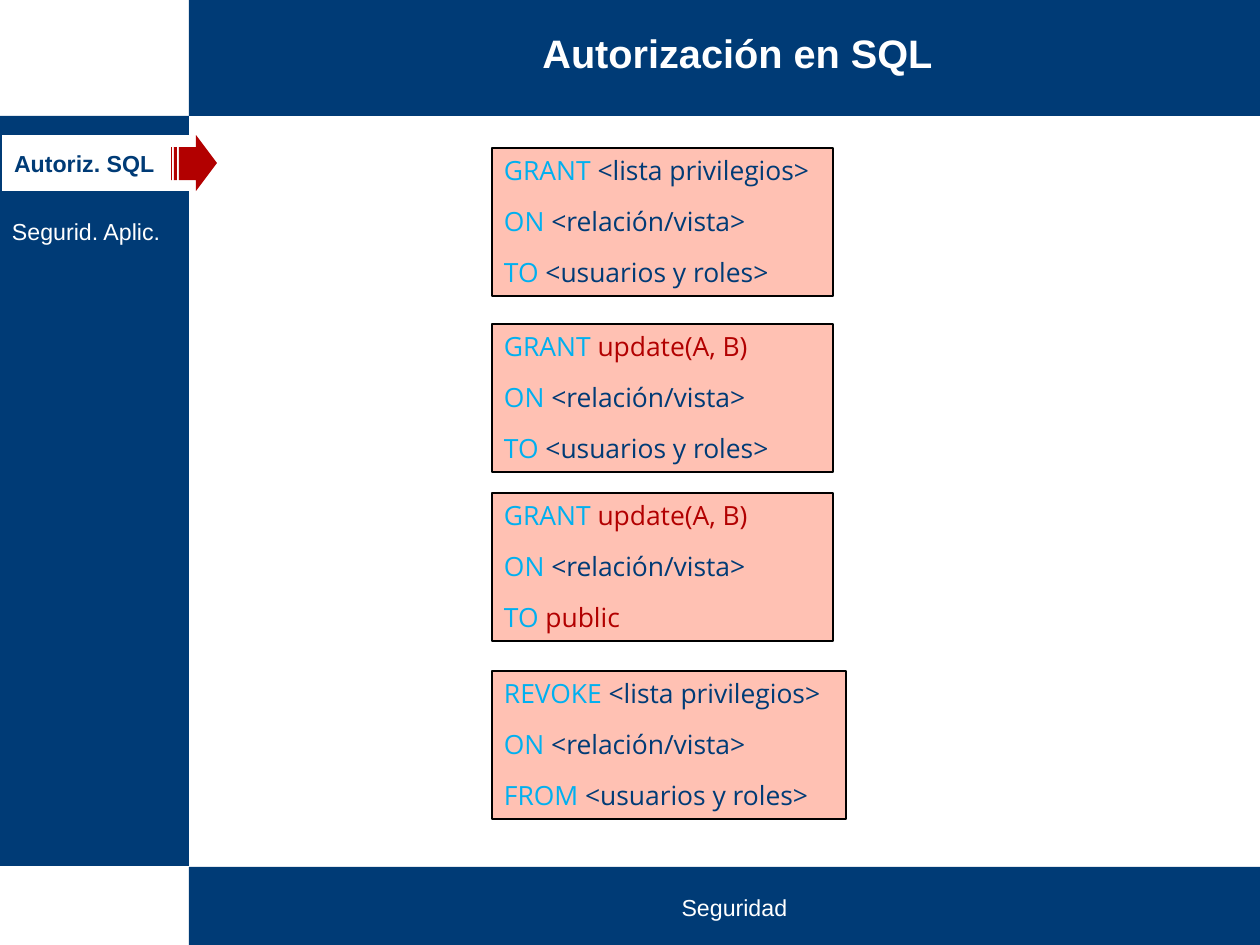
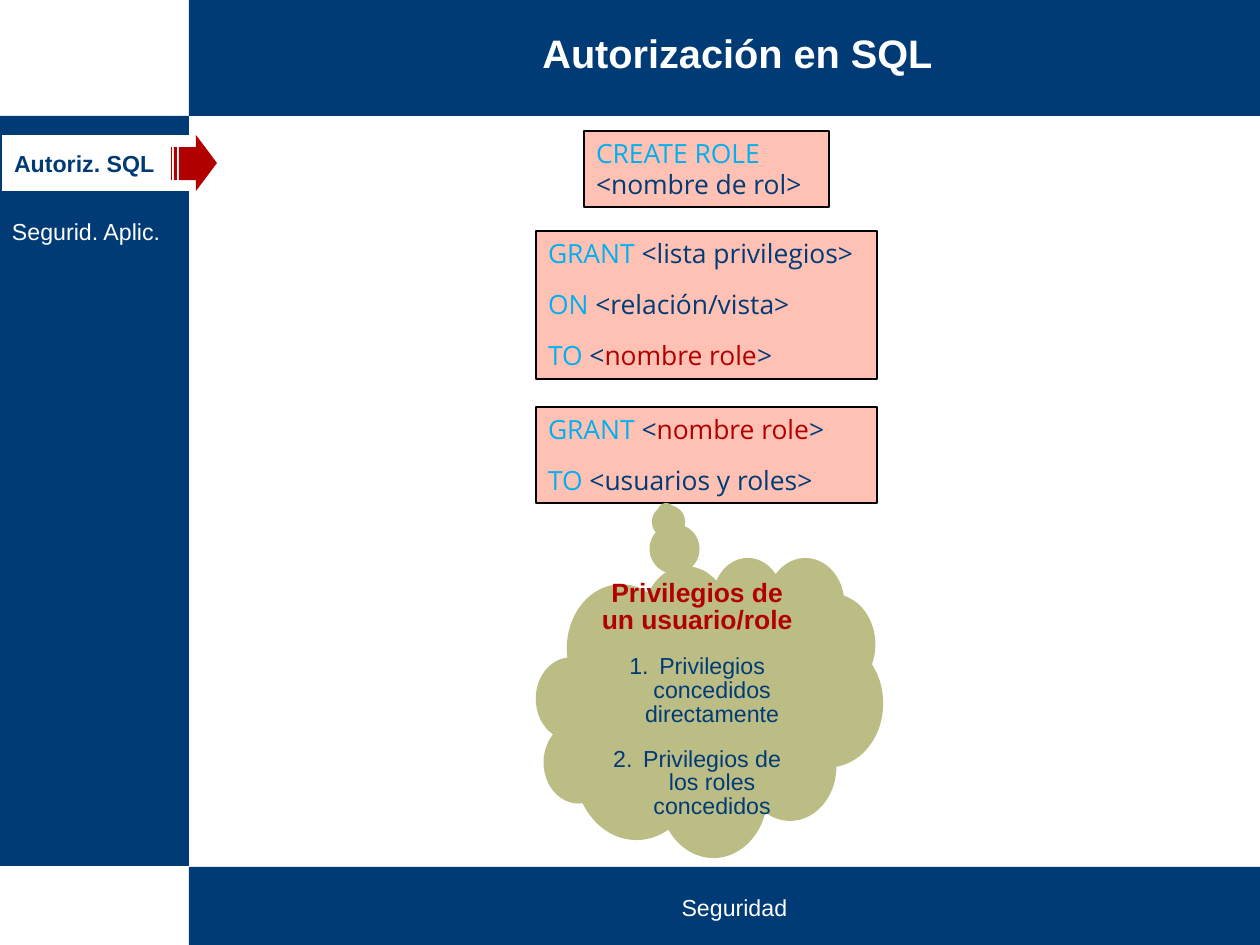
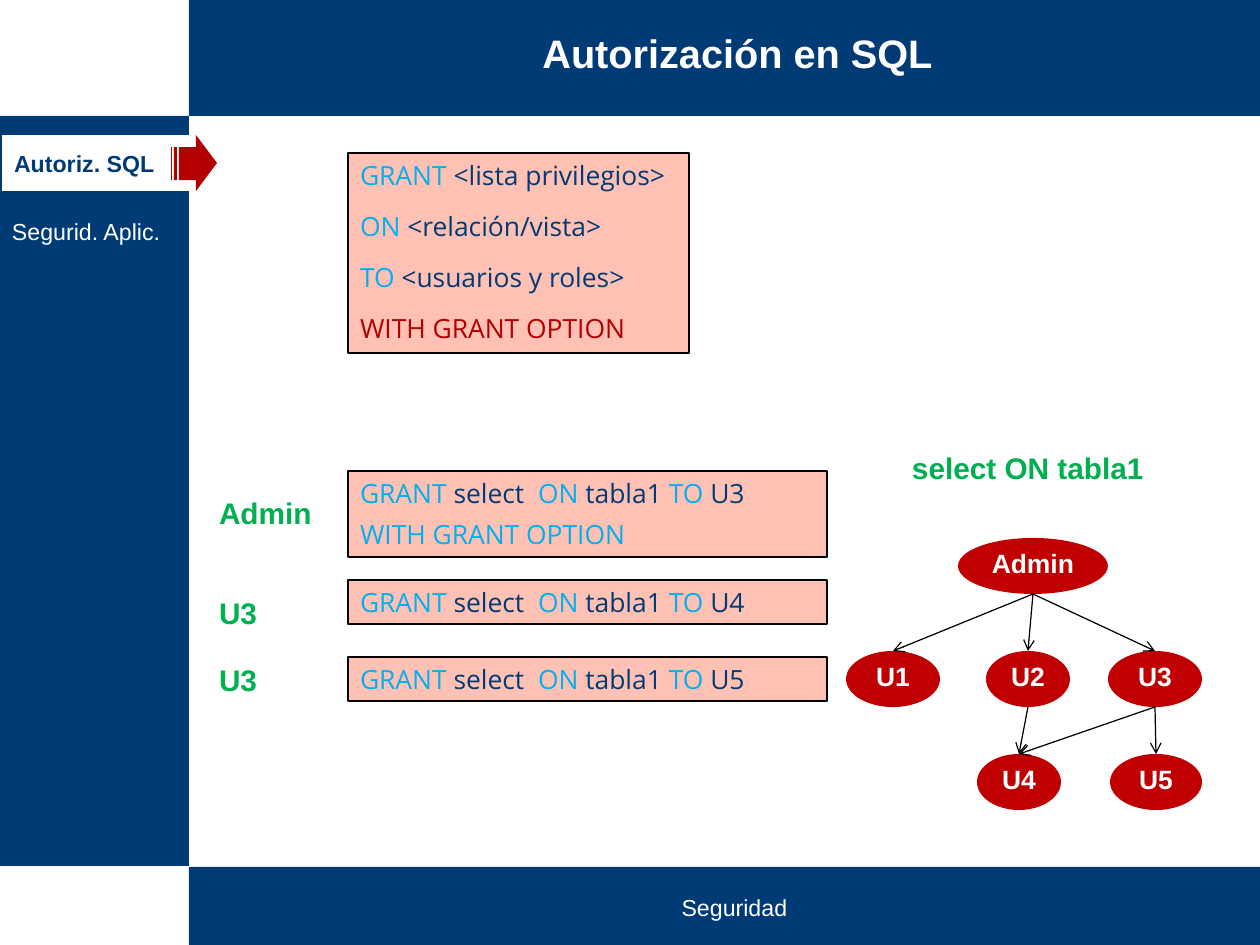
from dataclasses import dataclass

from lxml.etree import SubElement
from pptx import Presentation
from pptx.dml.color import RGBColor
from pptx.enum.shapes import MSO_CONNECTOR, MSO_SHAPE
from pptx.enum.text import MSO_ANCHOR, MSO_AUTO_SIZE, PP_ALIGN
from pptx.oxml.ns import qn
from pptx.util import Pt

PX = 7680  # EMU per px
WIDTH, HEIGHT = 1260, 945


@dataclass(frozen=True)
class Theme:
    navy: str = "003B76"
    white: str = "FFFFFF"
    black: str = "000000"
    red: str = "B20000"
    node: str = "C00000"
    cyan: str = "00B0F0"
    green: str = "00B050"
    pink: str = "FFC1B3"
    olive: str = "BCBC85"
    font: str = "Arial"
    code_font: str = "Open Sans"
    title: int = 24
    label: int = 18
    body: int = 16
    small: int = 14
    code_line: int = 19
    tight: float = 0.85
    hairline: float = 0.75


THEME = Theme()

# Content: a clause is a list of (text, colour) spans
TITLE = "Autorización en SQL"
FOOTER = "Seguridad"
MENU_ACTIVE, MENU_OTHER = "Autoriz. SQL", "Segurid. Aplic."


def clause(keyword, rest, color=THEME.navy):
    return [(keyword + " ", THEME.cyan), (rest, color)]


def role_clause(keyword):
    return clause(keyword, "<") + [("nombre role", THEME.red), (">", THEME.navy)]


def grant_select(user):
    return (clause("GRANT", "select  ") + clause("ON", "tabla1 ")
            + clause("TO", user))


GRANT_LIST = clause("GRANT", "<lista privilegios>")
GRANT_UPDATE = clause("GRANT", "update(A, B)", THEME.red)
ON_RELATION = clause("ON", "<relación/vista>")
TO_USERS = clause("TO", "<usuarios y roles>")
GRANT_OPTION = "WITH GRANT OPTION"

# Code boxes: (left, top, width, height), clauses
PRIVILEGE_BOXES = [
    ((492, 148, 341, 148), [GRANT_LIST, ON_RELATION, TO_USERS]),
    ((492, 324, 341, 148), [GRANT_UPDATE, ON_RELATION, TO_USERS]),
    ((492, 493, 341, 148),
     [GRANT_UPDATE, ON_RELATION, clause("TO", "public", THEME.red)]),
    ((492, 671, 354, 148),
     [clause("REVOKE", "<lista privilegios>"), ON_RELATION,
      clause("FROM", "<usuarios y roles>")]),
]
ROLE_BOXES = [
    ((584, 131, 245, 76),
     [[("CREATE ROLE", THEME.cyan), ("\n", THEME.cyan),
       ("<nombre de rol>", THEME.navy)]]),
    ((536, 231, 341, 148), [GRANT_LIST, ON_RELATION, role_clause("TO")]),
    ((536, 407, 341, 96), [role_clause("GRANT"), TO_USERS]),
]
CLOUD_AREA = (536, 557, 347, 300)
CLOUD_HEADING = "Privilegios de un usuario/role"
CLOUD_ITEMS = ["Privilegios concedidos directamente",
               "Privilegios de los roles concedidos"]

OPTION_BOXES = [((348, 153, 341, 200),
                 [GRANT_LIST, ON_RELATION, TO_USERS,
                  [(GRANT_OPTION, THEME.red)]])]
EXAMPLE_BOXES = [
    ((348, 471, 479, 86),
     [grant_select("U3"), [(GRANT_OPTION, THEME.cyan)]]),
    ((348, 580, 479, 44), [grant_select("U4")]),
    ((348, 657, 479, 44), [grant_select("U5")]),
]
LABELS = [("select ON tabla1", (900, 449, 273, 43)),
          ("Admin", (207, 494, 121, 43)),
          ("U3", (207, 594, 121, 43)),
          ("U3", (207, 661, 121, 43))]

# Grant graph: name -> centre x, top, width
NODE_HEIGHT = 56
NODES = {"Admin": (1033, 538, 150), "U1": (893, 651, 94), "U2": (1028, 651, 84),
         "U3": (1155, 651, 94), "U4": (1019, 754, 84), "U5": (1156, 754, 92)}
GRANTS = [("Admin", "U1"), ("Admin", "U2"), ("Admin", "U3"),
          ("U2", "U4"), ("U3", "U4"), ("U3", "U5")]

# Menu pointer: arrow outline and the two stripes behind it
POINTER = [
    [(196, 135), (196, 147), (179, 147), (179, 180), (196, 180), (196, 191),
     (217, 163)],
    [(174, 147), (174, 180), (177, 180), (177, 147)],
    [(171, 147), (171, 180), (172, 180), (172, 147)],
]


def emu(lengths):
    return [length * PX for length in lengths]


def rgb(color):
    return RGBColor.from_string(color)


def write(box, paragraphs, *, size=THEME.small, color=THEME.white,
          font=THEME.font, bold=False, align=PP_ALIGN.LEFT,
          anchor=MSO_ANCHOR.TOP, line=None, before=0, inset=12):
    """Fill a box; each paragraph is a string or a list of (text, colour)."""
    frame = box.text_frame
    frame.word_wrap = True
    frame.auto_size = MSO_AUTO_SIZE.NONE
    frame.vertical_anchor = anchor
    frame.margin_left = frame.margin_right = inset * PX
    frame.margin_top = frame.margin_bottom = 6 * PX
    for index, spans in enumerate(paragraphs):
        para = frame.add_paragraph() if index else frame.paragraphs[0]
        para.alignment = align
        para.space_before = Pt(before)
        if line:
            para.line_spacing = line
        for text, tint in [(spans, color)] if isinstance(spans, str) else spans:
            if text == "\n":
                para.add_line_break()
                continue
            span = para.add_run()
            span.text = text
            span.font.name = font
            span.font.size = Pt(size)
            span.font.bold = bold
            span.font.color.rgb = rgb(tint)


def paint(shape, fill, line=None):
    shape.shadow.inherit = False
    shape.fill.solid()
    shape.fill.fore_color.rgb = rgb(fill)
    if line:
        shape.line.color.rgb = rgb(line)
        shape.line.width = Pt(THEME.hairline)
    else:
        shape.line.fill.background()
    return shape


def add_block(page, area, fill, line=None, kind=MSO_SHAPE.RECTANGLE):
    return paint(page.shapes.add_shape(kind, *emu(area)), fill, line)


def move_frame_to_layout(page):
    """Draw the bands and footer on a page, then hand them to its layout."""
    bands = [(189, 867, 1071, 78), (0, 116, 189, 750), (189, 0, 1071, 116)]
    parts = [add_block(page, area, THEME.navy) for area in bands]
    footer = page.shapes.add_textbox(*emu((208, 885, 1053, 42)))
    write(footer, [FOOTER], align=PP_ALIGN.CENTER, anchor=MSO_ANCHOR.BOTTOM,
          line=1.15)
    for part in parts + [footer]:
        page.slide_layout.shapes.element.append(part.element)


def add_page(deck):
    page = deck.slides.add_slide(deck.slide_layouts[5])
    title = page.shapes.title
    title.left, title.top, title.width, title.height = emu((207, 22, 1061, 68))
    write(title, [TITLE], size=THEME.title, bold=True, align=PP_ALIGN.CENTER,
          anchor=MSO_ANCHOR.MIDDLE, line=THEME.tight)
    add_menu(page)
    return page


def add_menu(page):
    active = add_block(page, (2, 135, 196, 56), THEME.white)
    write(active, [MENU_ACTIVE], color=THEME.navy, bold=True,
          anchor=MSO_ANCHOR.MIDDLE)
    other = add_block(page, (0, 192, 183, 78), THEME.navy, THEME.navy)
    write(other, [MENU_OTHER], anchor=MSO_ANCHOR.MIDDLE)
    builder = page.shapes.build_freeform(*POINTER[0][0], scale=PX)
    for index, outline in enumerate(POINTER):
        if index:
            builder.move_to(*outline[0])
        builder.add_line_segments(outline[1:], close=True)
    paint(builder.convert_to_shape(), THEME.red)


def add_code_boxes(page, boxes, before=12):
    for area, clauses in boxes:
        box = add_block(page, area, THEME.pink, THEME.black)
        write(box, clauses, size=THEME.body, font=THEME.code_font,
              before=before, line=Pt(THEME.code_line))


def add_cloud(page):
    cloud = add_block(page, CLOUD_AREA, THEME.olive,
                      kind=MSO_SHAPE.CLOUD_CALLOUT)
    cloud.adjustments[0], cloud.adjustments[1] = -0.125, -0.653
    write(cloud, [CLOUD_HEADING] + CLOUD_ITEMS, color=THEME.navy,
          align=PP_ALIGN.CENTER, anchor=MSO_ANCHOR.MIDDLE, line=THEME.tight,
          before=13)
    heading, *items = cloud.text_frame.paragraphs
    heading.space_before = Pt(0)
    font = heading.runs[0].font
    font.size, font.bold, font.color.rgb = Pt(THEME.body), True, rgb(THEME.red)
    for para in items:
        number_paragraph(para, 30 * PX)


def number_paragraph(para, indent):
    properties = para._p.get_or_add_pPr()
    properties.set("marL", str(indent))
    properties.set("indent", str(-indent))
    SubElement(properties, qn("a:buFont"), typeface="+mj-lt")
    SubElement(properties, qn("a:buAutoNum"), type="arabicPeriod")


def add_arrow(page, start, end):
    arrow = page.shapes.add_connector(MSO_CONNECTOR.STRAIGHT, *emu(start + end))
    arrow.line.color.rgb = rgb(THEME.black)
    arrow.line.width = Pt(THEME.hairline)
    SubElement(arrow.line._get_or_add_ln(), qn("a:tailEnd"), type="arrow")
    SubElement(arrow.element.spPr, qn("a:effectLst"))


def add_grant_graph(page):
    for name, (center, top, width) in NODES.items():
        area = (center - width // 2, top, width, NODE_HEIGHT)
        node = add_block(page, area, THEME.node, kind=MSO_SHAPE.OVAL)
        write(node, [name], size=THEME.body, bold=True, align=PP_ALIGN.CENTER,
              line=THEME.tight, inset=0)
    for giver, receiver in GRANTS:
        start_x, start_top, _ = NODES[giver]
        end_x, end_top, _ = NODES[receiver]
        add_arrow(page, (start_x, start_top + NODE_HEIGHT), (end_x, end_top))


def add_labels(page):
    for text, area in LABELS:
        label = page.shapes.add_textbox(*emu(area))
        write(label, [text], size=THEME.label, color=THEME.green, bold=True,
              line=THEME.tight)


def main():
    deck = Presentation()
    deck.slide_width, deck.slide_height = emu((WIDTH, HEIGHT))

    privileges = add_page(deck)
    move_frame_to_layout(privileges)
    add_code_boxes(privileges, PRIVILEGE_BOXES)

    roles = add_page(deck)
    add_code_boxes(roles, ROLE_BOXES)
    add_cloud(roles)

    delegation = add_page(deck)
    add_code_boxes(delegation, OPTION_BOXES)
    add_code_boxes(delegation, EXAMPLE_BOXES, before=6)
    add_grant_graph(delegation)
    add_labels(delegation)

    deck.save("out.pptx")


if __name__ == "__main__":
    main()
